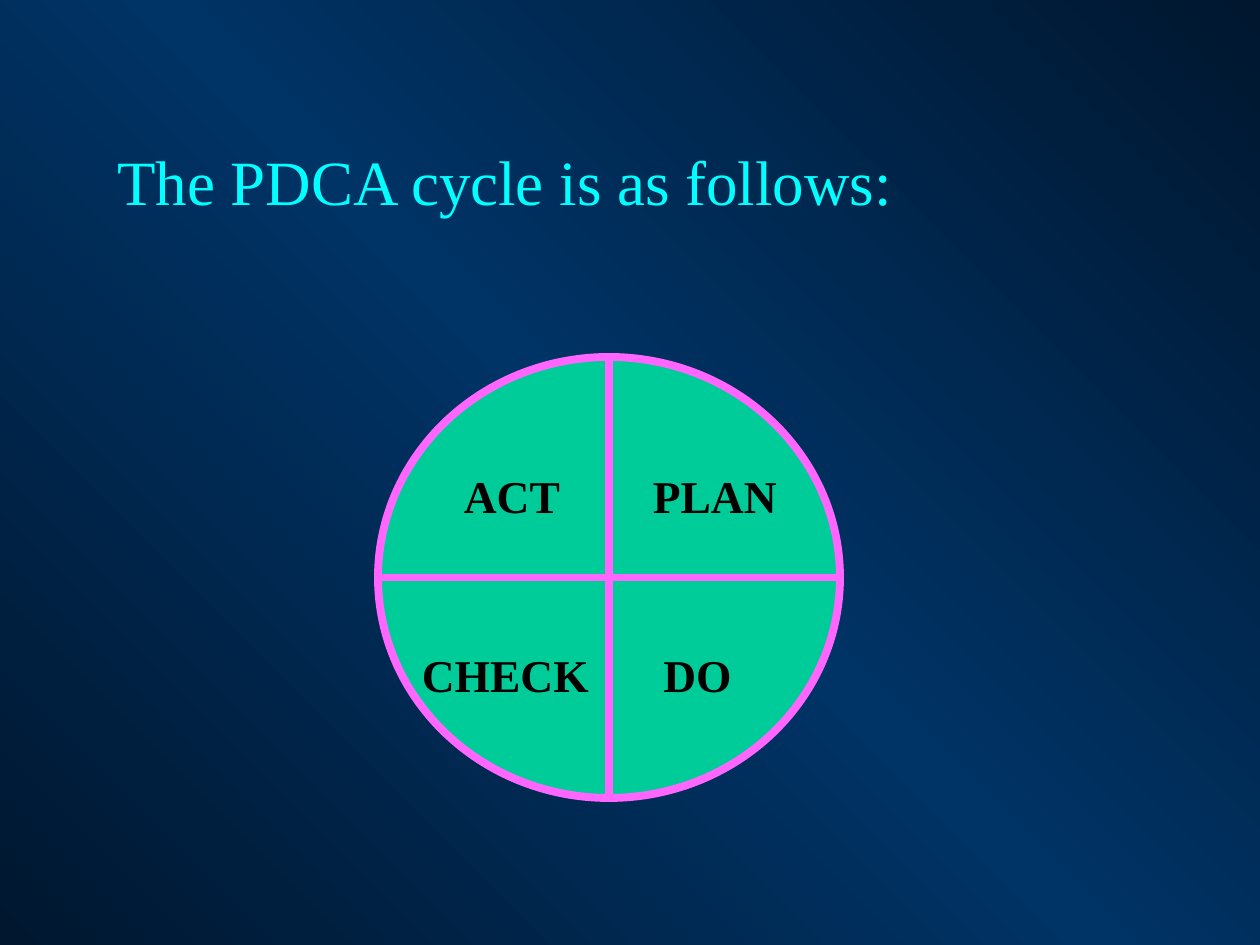
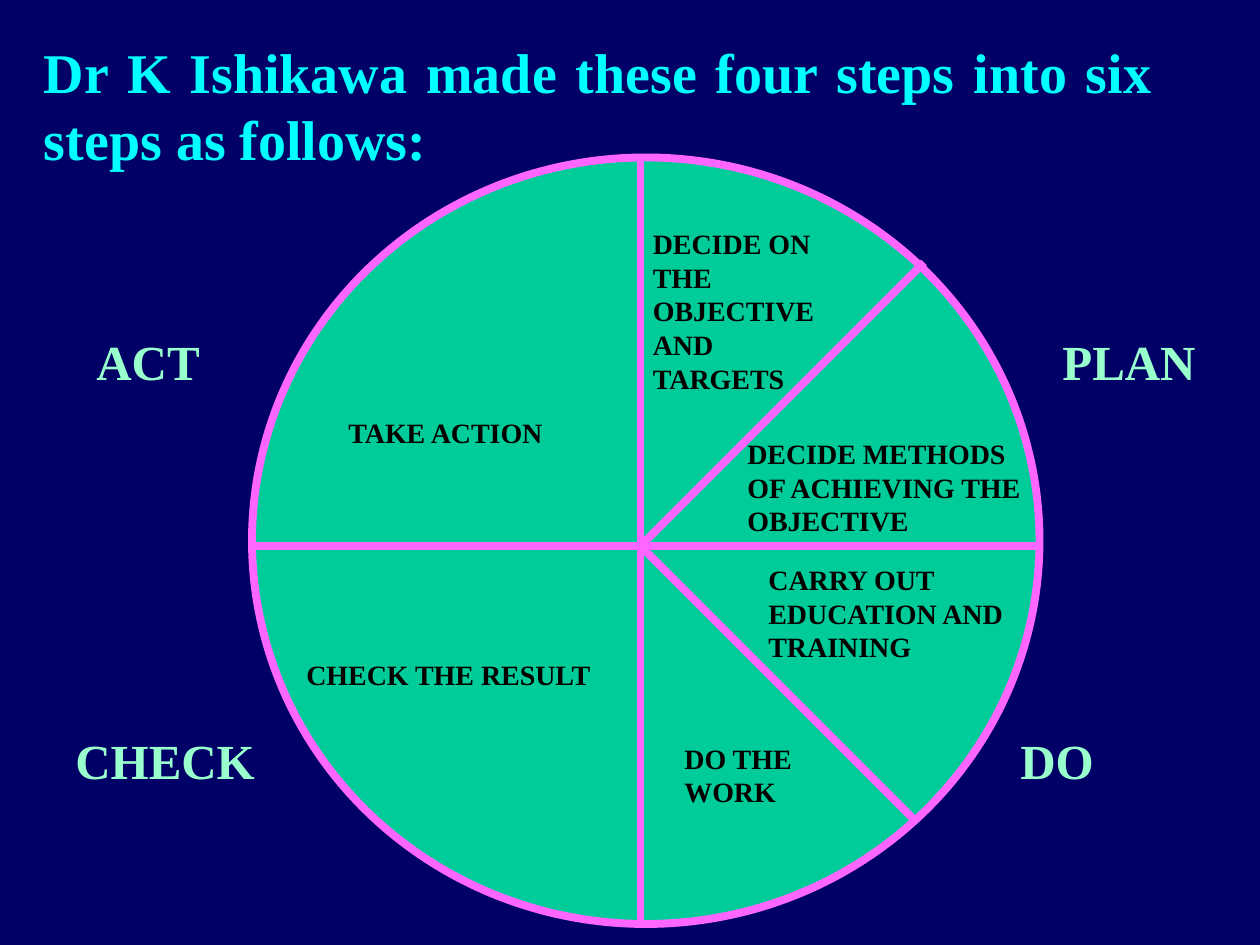
from copy import deepcopy
from dataclasses import dataclass

from lxml.etree import SubElement
from pptx import Presentation
from pptx.dml.color import RGBColor
from pptx.enum.shapes import MSO_CONNECTOR, MSO_SHAPE
from pptx.enum.text import MSO_AUTO_SIZE, PP_ALIGN
from pptx.oxml.ns import qn
from pptx.util import Pt


@dataclass(frozen=True)
class Theme:
    font: str = "Times New Roman"
    night: str = "00172F"
    ocean: str = "003366"
    navy: str = "000066"
    title: str = "00FFFF"
    wheel: str = "00CC99"
    spoke: str = "FF66FF"
    label: str = "000000"
    stage: str = "99FFCC"
    spoke_width: float = 4.5
    title_size: int = 36
    long_title_size: int = 32
    quarter_size: int = 26
    stage_size: int = 28
    step_size: int = 16


theme = Theme()


def add_text(s, text, x, y, w, h, size, color, bold=True, align=PP_ALIGN.LEFT):
    tf = s.shapes.add_textbox(Pt(x), Pt(y), Pt(w), Pt(h)).text_frame
    tf.word_wrap = True
    tf.auto_size = MSO_AUTO_SIZE.SHAPE_TO_FIT_TEXT
    tf.text = text
    p = tf.paragraphs[0]
    p.alignment = align
    font = p.runs[0].font
    font.name, font.size, font.bold = theme.font, Pt(size), bold
    font.color.rgb = RGBColor.from_string(color)


def add_wheel(s, x, y, w, h, spokes):
    sp = s.shapes.add_shape(MSO_SHAPE.OVAL, Pt(x), Pt(y), Pt(w), Pt(h))
    sp.shadow.inherit = False
    sp.fill.solid()
    sp.fill.fore_color.rgb = RGBColor.from_string(theme.wheel)
    lines = [sp.line]
    for ends in spokes:
        cx = s.shapes.add_connector(MSO_CONNECTOR.STRAIGHT, *map(Pt, ends))
        SubElement(cx.element.spPr, qn("a:effectLst"))
        lines.append(cx.line)
    for line in lines:
        line.color.rgb = RGBColor.from_string(theme.spoke)
        line.width = Pt(theme.spoke_width)
    # The effect list must follow the outline
    for cx in s.shapes:
        for effects in cx.element.findall(qn("p:spPr") + "/" + qn("a:effectLst")):
            effects.getparent().append(effects)


prs = Presentation()
prs.slide_width, prs.slide_height = Pt(720), Pt(540)
blank = prs.slide_layouts[6]

# Slide 1: diagonal gradient, dark in two corners
s = prs.slides.add_slide(blank)
fill = s.background.fill
fill.gradient()
fill.gradient_angle = 225
gs_list = s.element.find(".//" + qn("a:gsLst"))
gs_list.append(deepcopy(gs_list[0]))
stops = zip(fill.gradient_stops, (0, 0.5, 1), (theme.night, theme.ocean, theme.night))
for stop, position, color in stops:
    stop.position = position
    stop.color.rgb = RGBColor.from_string(color)

add_text(s, "The PDCA cycle is as follows:", 60, 78, 570, 50,
         theme.title_size, theme.title, bold=False)

# Wheel in four quarters
add_wheel(s, 216, 204, 264, 252, [(348, 204, 348, 456), (216, 330, 480, 330)])
for text, x, y, w in [("ACT", 258, 264, 78), ("PLAN", 366, 264, 108),
                      ("CHECK", 234, 366, 126), ("DO", 372, 366, 108)]:
    add_text(s, text, x, y, w, 39, theme.quarter_size, theme.label)

# Slide 2: plain background
s = prs.slides.add_slide(blank)
s.background.fill.solid()
s.background.fill.fore_color.rgb = RGBColor.from_string(theme.navy)

add_text(s, "Dr K Ishikawa made these four steps into six steps as follows:",
         18, 18, 648, 84, theme.long_title_size, theme.title, align=PP_ALIGN.JUSTIFY)

# Wheel in six sectors
hub_x, hub_y = 366, 312
add_wheel(s, 144, 90, 450, 438, [
    (144, hub_y, 594, hub_y),
    (hub_x, 90, hub_x, 528),
    (hub_x, hub_y, hub_x + 162, hub_y - 162),
    (hub_x, hub_y, hub_x + 156, hub_y + 156),
])

# Stages around the wheel
for text, x, y, w in [("ACT", 48, 186, 114), ("PLAN", 600, 186, 120),
                      ("CHECK", 36, 414, 132), ("DO", 576, 414, 114)]:
    add_text(s, text, x, y, w, 41, theme.stage_size, theme.stage)

# Steps inside the wheel
for text, x, y, w, h in [
    ("DECIDE ON THE OBJECTIVE AND TARGETS", 366, 126, 108, 104),
    ("DECIDE METHODS OF ACHIEVING THE OBJECTIVE", 420, 246, 180, 65),
    ("CARRY OUT EDUCATION AND TRAINING", 432, 318, 168, 65),
    ("DO THE WORK", 384, 420, 84, 46),
    ("CHECK THE RESULT", 168, 372, 180, 27),
    ("TAKE ACTION", 192, 234, 174, 27),
]:
    add_text(s, text, x, y, w, h, theme.step_size, theme.label)

prs.save("out.pptx")
